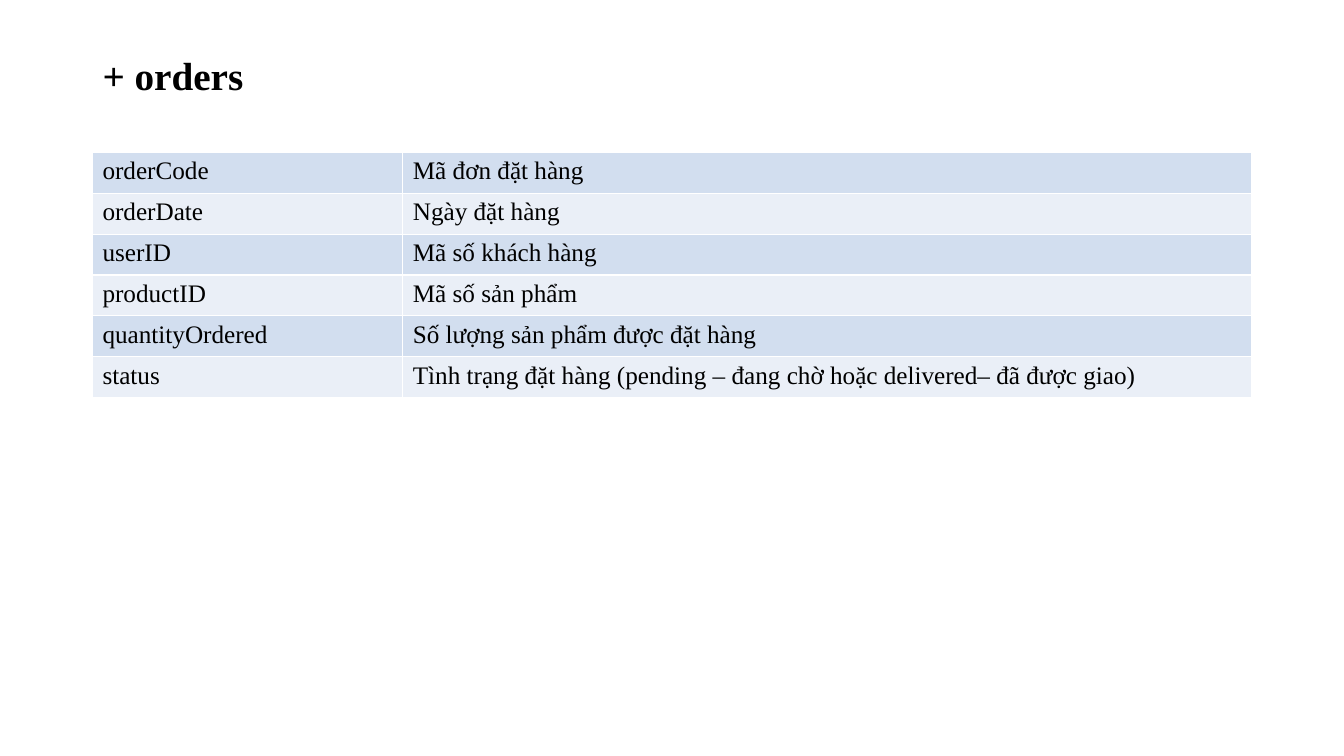
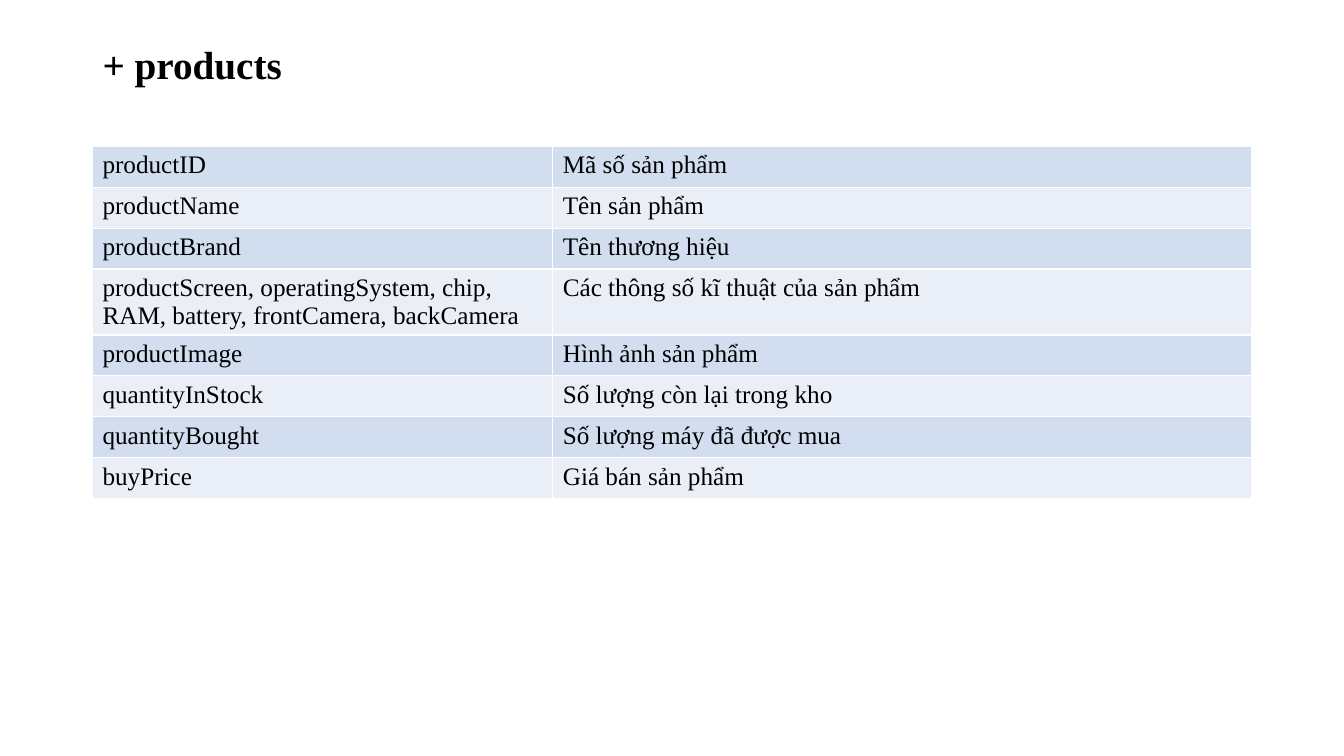
from dataclasses import dataclass

from lxml.etree import SubElement as Sub
from pptx import Presentation
from pptx.dml.color import RGBColor as Rgb
from pptx.enum.text import MSO_ANCHOR as Anchor
from pptx.enum.text import MSO_AUTO_SIZE as Fit
from pptx.enum.text import PP_ALIGN as Align
from pptx.oxml.ns import qn
from pptx.slide import Slide
from pptx.table import _Cell as Cell
from pptx.text.text import _Paragraph as Para
from pptx.util import Cm, Pt


@dataclass(frozen=True)
class Theme:
    font: str = "Times New Roman"
    ink: str = "000000"
    bands: tuple[str, str] = ("D2DEEF", "EAEFF7")
    rule: str = "FFFFFF"
    rule_width: float = 1
    title: float = 28
    body: float = 18


@dataclass(frozen=True)
class Field:
    name: str
    note: str
    lines: int = 1


@dataclass(frozen=True)
class Page:
    title: str
    head: float
    top: float
    split: float
    fields: tuple[Field, ...]


THEME = Theme()
LEFT, WIDTH = 2.33, 29.21
TITLE_HEIGHT = 2
ROW, LINE = 1.03, 0.63

PAGES = (
    Page("+ orders", 1.3, 3.84, 7.82, (
        Field("orderCode", "Mã đơn đặt hàng"),
        Field("orderDate", "Ngày đặt hàng"),
        Field("userID", "Mã số khách hàng"),
        Field("productID", "Mã số sản phẩm"),
        Field("quantityOrdered", "Số lượng sản phẩm được đặt hàng"),
        Field("status", "Tình trạng đặt hàng (pending – đang chờ hoặc delivered– đã được giao)"),
    )),
    Page("+ products", 1.02, 3.69, 11.6, (
        Field("productID", "Mã số sản phẩm"),
        Field("productName", "Tên sản phẩm"),
        Field("productBrand", "Tên thương hiệu"),
        Field(
            "productScreen, operatingSystem, chip, RAM, battery, frontCamera, backCamera",
            "Các thông số kĩ thuật của sản phẩm",
            lines=2,
        ),
        Field("productImage", "Hình ảnh sản phẩm"),
        Field("quantityInStock", "Số lượng còn lại trong kho"),
        Field("quantityBought", "Số lượng máy đã được mua"),
        Field("buyPrice", "Giá bán sản phẩm"),
    )),
)


def style(para: Para, size: float, bold: bool = False) -> None:
    para.alignment = Align.LEFT
    font = para.font
    font.name, font.size, font.bold = THEME.font, Pt(size), bold
    font.color.rgb = Rgb.from_string(THEME.ink)


def add_title(slide: Slide, page: Page) -> None:
    title = slide.shapes.title
    title.left, title.top = Cm(LEFT), Cm(page.head)
    title.width, title.height = Cm(WIDTH), Cm(TITLE_HEIGHT)
    frame = title.text_frame
    frame.text = page.title
    frame.auto_size, frame.vertical_anchor = Fit.NONE, Anchor.TOP
    para = frame.paragraphs[0]
    para.line_spacing = 0.9
    style(para, THEME.title, bold=True)


def add_rules(cell: Cell) -> None:
    props = cell._tc.get_or_add_tcPr()
    for side in ("a:lnL", "a:lnR", "a:lnT", "a:lnB"):
        line = Sub(props, qn(side), w=str(Pt(THEME.rule_width)))
        Sub(Sub(line, qn("a:solidFill")), qn("a:srgbClr"), val=THEME.rule)


def fill_cell(cell: Cell, text: str, band: str) -> None:
    cell.text = text
    style(cell.text_frame.paragraphs[0], THEME.body)
    add_rules(cell)
    cell.fill.solid()
    cell.fill.fore_color.rgb = Rgb.from_string(band)


def add_fields(slide: Slide, page: Page) -> None:
    heights = [ROW + LINE * (field.lines - 1) for field in page.fields]
    frame = slide.shapes.add_table(
        len(heights), 2, Cm(LEFT), Cm(page.top), Cm(WIDTH), Cm(sum(heights))
    )
    table = frame.table
    table.first_row = table.horz_banding = False
    for col, width in zip(table.columns, (page.split, WIDTH - page.split)):
        col.width = Cm(width)
    for i, (field, height) in enumerate(zip(page.fields, heights)):
        table.rows[i].height = Cm(height)
        for j, text in enumerate((field.name, field.note)):
            fill_cell(table.cell(i, j), text, THEME.bands[i % 2])


def main() -> None:
    deck = Presentation()
    deck.slide_width, deck.slide_height = Cm(33.87), Cm(19.05)
    layout = deck.slide_layouts.get_by_name("Title Only")
    for page in PAGES:
        slide = deck.slides.add_slide(layout)
        add_title(slide, page)
        add_fields(slide, page)
    deck.save("out.pptx")


if __name__ == "__main__":
    main()
